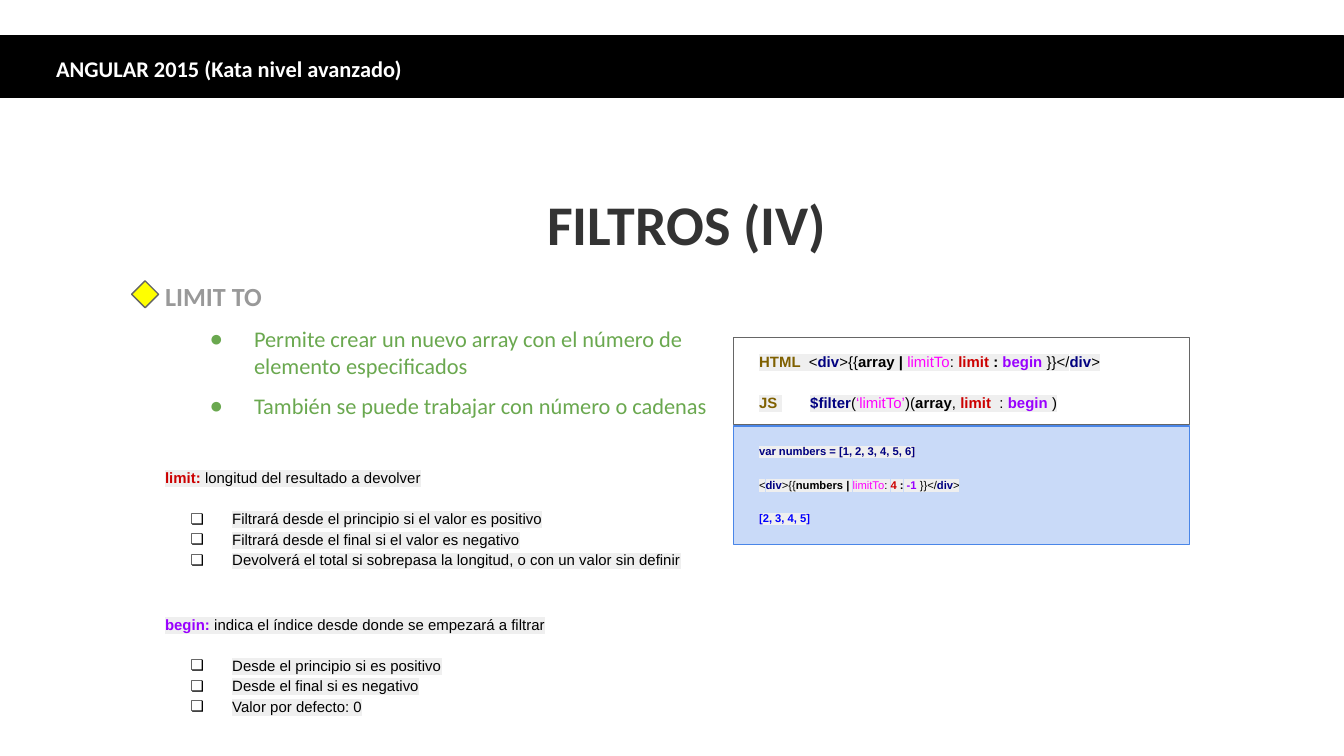
from lxml import etree
from pptx import Presentation
from pptx import util as u
from pptx.dml import color
from pptx.enum import shapes, text
from pptx.oxml import ns

HUES = {
    "black": "000000", "white": "FFFFFF", "dark": "333333", "grey": "999999",
    "edge": "666666", "rim": "646464", "pale": "EFEFEF", "green": "6AA84F",
    "brown": "7F6000", "navy": "000080", "pink": "FF00FF", "red": "CC0000",
    "purple": "9900FF", "yellow": "FFFF00", "sky": "C9DAF8", "blue": "4A86E8",
    "vivid": "0000FF",
}


def hue(name):
    return color.RGBColor.from_string(HUES[name])


def add_tag(node, tag, **attrs):
    return etree.SubElement(node, ns.qn(tag), attrs)


def place(item, box):
    item.left, item.top, item.width, item.height = map(u.Inches, box)


def add_mark(par, mark, hang, tint):
    props = par._p.get_or_add_pPr()
    props.set("marL", str(u.Inches(0.5)))
    props.set("indent", str(-u.Inches(hang)))
    add_tag(add_tag(props, "a:buClr"), "a:srgbClr", val=HUES[tint])
    add_tag(props, "a:buFont", typeface="Arial")
    add_tag(props, "a:buChar", char=mark)


def add_tab(par, stop):
    tabs = add_tag(par._p.get_or_add_pPr(), "a:tabLst")
    add_tag(tabs, "a:tab", pos=str(u.Inches(stop)), algn="l")


def write(par, parts, size=8, font="Arial", shade="pale", lead=1.15,
          after=0, align=text.PP_ALIGN.LEFT, mark=None, hang=0.31, tab=None):
    par.alignment = align
    par.line_spacing = lead
    par.space_before = u.Pt(0)
    par.space_after = u.Pt(after)
    for words, tint, bold in parts:
        run = par.add_run()
        run.text = words
        run.font.name = font
        run.font.size = u.Pt(size)
        run.font.bold = bold
        run.font.color.rgb = hue(tint)
        if shade:
            glow = etree.Element(ns.qn("a:highlight"))
            add_tag(glow, "a:srgbClr", val=HUES[shade])
            run._r.rPr.find(ns.qn("a:solidFill")).addnext(glow)
    if mark:
        add_mark(par, mark, hang, parts[0][1])
    if tab:
        add_tab(par, tab)


def fill_text(item, box, lines, pad=0.1, anchor=text.MSO_ANCHOR.TOP, **look):
    place(item, box)
    frame = item.text_frame
    frame.word_wrap = True
    frame.auto_size = text.MSO_AUTO_SIZE.NONE
    frame.vertical_anchor = anchor
    frame.margin_left = frame.margin_right = u.Inches(0.1)
    frame.margin_top = frame.margin_bottom = u.Inches(pad)
    for i, (parts, extra) in enumerate(lines):
        par = frame.add_paragraph() if i else frame.paragraphs[0]
        write(par, parts, **{**look, **extra})


def add_text(slide, box, lines, **look):
    item = slide.shapes.add_textbox(*map(u.Inches, box))
    fill_text(item, box, lines, **look)


def add_form(slide, kind, box, fill, line, weight=0.75):
    form = slide.shapes.add_shape(kind, *map(u.Inches, box))
    form.shadow.inherit = False
    if fill:
        form.fill.solid()
        form.fill.fore_color.rgb = hue(fill)
    else:
        form.fill.background()
    form.line.color.rgb = hue(line)
    form.line.width = u.Pt(weight)


def add_term(slide, top, high, term, tint, gloss, points):
    lines = [([(term, tint, True), (gloss, "black", False)], {"after": 11})]
    lines += [([(point, "black", False)], {"mark": "❏"}) for point in points]
    add_text(slide, (1.13, top, 7.36, high), lines)


def tag_line(name, first, last):
    return [
        ("<", "black", False), ("div", "navy", True), (">{{", "black", False),
        (name, "black", True), (" ", "black", False), ("| ", "black", True),
        ("limitTo", "pink", False), (": ", "black", False),
        (first, "red", True), (":", "black", True), (" ", "black", False),
        (last, "purple", True), ("}}</", "black", False),
        ("div", "navy", True), (">", "black", False),
    ]


def add_code(slide):
    html = [("HTML ", "brown", True), (" ", "black", False)]
    html += tag_line("array", "limit ", "begin ")
    script = [
        ("JS ", "brown", True), ("\t", "black", False),
        ("$filter", "navy", True), ("(", "black", False),
        ("‘limitTo’", "pink", False), (")(", "black", False),
        ("array", "black", True), (", ", "black", False),
        ("limit ", "red", True), (" : ", "black", False),
        ("begin ", "purple", True), (")", "black", False),
    ]
    add_text(slide, (5.55, 2.54, 3.69, 0.59),
             [(html, {"after": 11}), (script, {"tab": 0.38})],
             anchor=text.MSO_ANCHOR.MIDDLE)
    demo = [
        [("var numbers = [1, 2, 3, 4, 5, 6]", "navy", True)],
        tag_line("numbers", "4 ", "-1 "),
        [("[2, 3, 4, 5]", "vivid", True)],
    ]
    for i, parts in enumerate(demo):
        add_text(slide, (5.55, 3.21 + 0.25 * i, 3.3, 0.28), [(parts, {})],
                 size=6, anchor=text.MSO_ANCHOR.MIDDLE)


def main():
    deck = Presentation()
    deck.slide_width = u.Inches(10)
    deck.slide_height = deck.slide_width * 9 // 16
    slide = deck.slides.add_slide(deck.slide_layouts[1])
    kinds = shapes.MSO_SHAPE
    plain = {"font": "Calibri", "shade": None, "lead": 1.0, "pad": 0.05}

    add_form(slide, kinds.RECTANGLE, (5.46, 2.51, 3.39, 0.65), None, "edge")
    add_form(slide, kinds.RECTANGLE, (0, 0.27, 10, 0.45), "black", "black", 1.5)
    add_form(slide, kinds.DIAMOND, (0.98, 2.09, 0.2, 0.2), "yellow", "rim")
    add_form(slide, kinds.RECTANGLE, (5.46, 3.17, 3.39, 0.88), "sky", "blue")

    fill_text(slide.shapes.title, (0.86, 1.36, 8.5, 1.18),
              [([("FILTROS (IV)", "dark", True)], {})],
              size=30, align=text.PP_ALIGN.CENTER, **plain)
    add_text(slide, (0.32, 0.36, 6.76, 0.28),
             [([("ANGULAR 2015 (Kata nivel avanzado)", "white", True)], {})],
             size=12, **plain)
    add_text(slide, (1.13, 2.04, 3.91, 0.28),
             [([("LIMIT TO", "grey", True)], {})], size=14, **plain)
    points = ["Permite crear un nuevo array con el número de elemento especificados",
              "También se puede trabajar con número o cadenas"]
    fill_text(slide.placeholders[1], (1.29, 2.37, 4.09, 0.89),
              [([(point, "green", False)], {}) for point in points],
              size=12, after=7, mark="●", hang=0.33, **plain)

    add_code(slide)
    add_term(slide, 3.37, 1.47, "limit: ", "red", "longitud del resultado a devolver", [
        "Filtrará desde el principio si el valor es positivo",
        "Filtrará desde el final si el valor es negativo",
        "Devolverá el total si sobrepasa la longitud, o con un valor sin definir",
    ])
    add_term(slide, 4.46, 1.03, "begin: ", "purple",
             "indica el índice desde donde se empezará a filtrar", [
                 "Desde el principio si es positivo",
                 "Desde el final si es negativo",
                 "Valor por defecto: 0",
             ])
    deck.save("out.pptx")


main()
